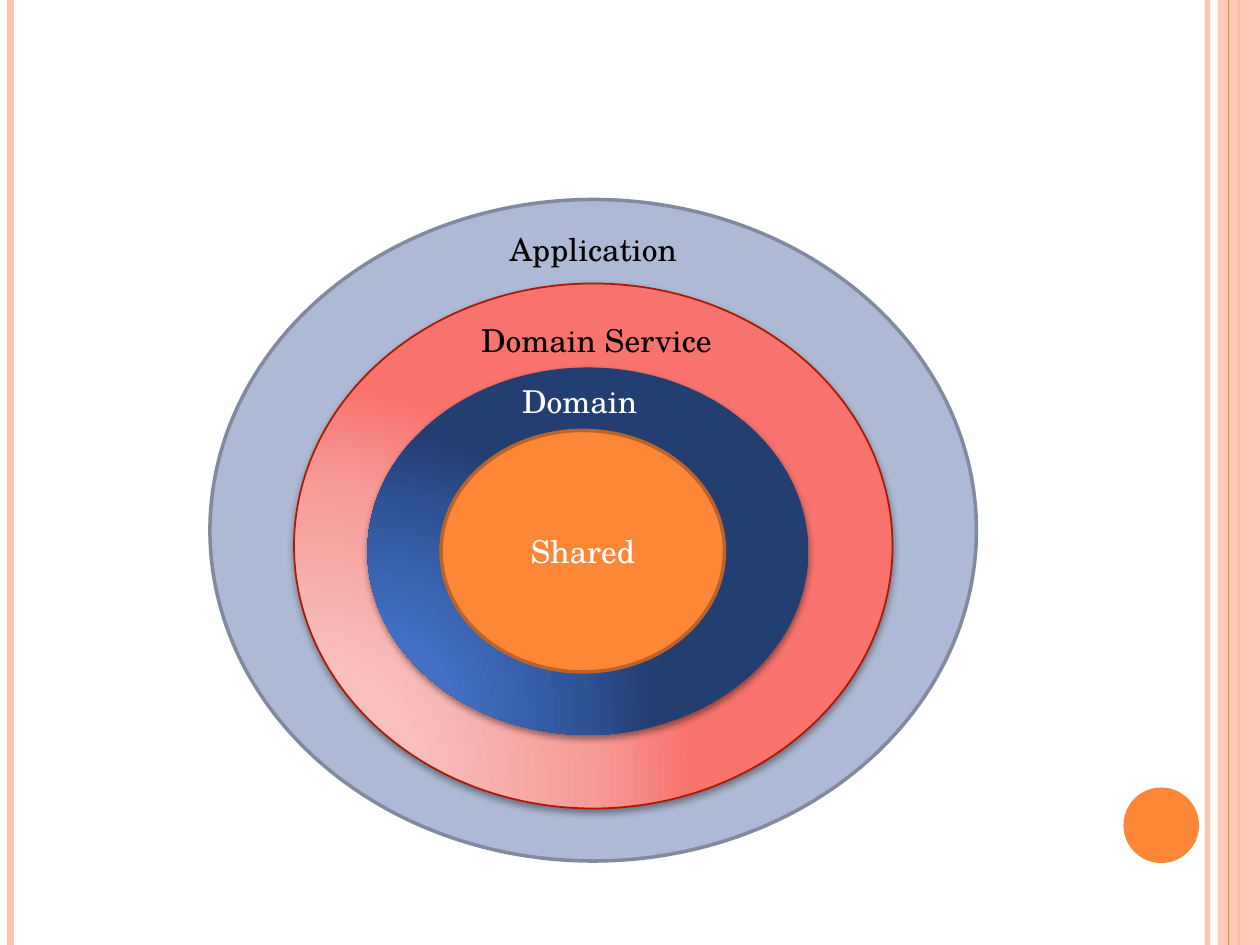
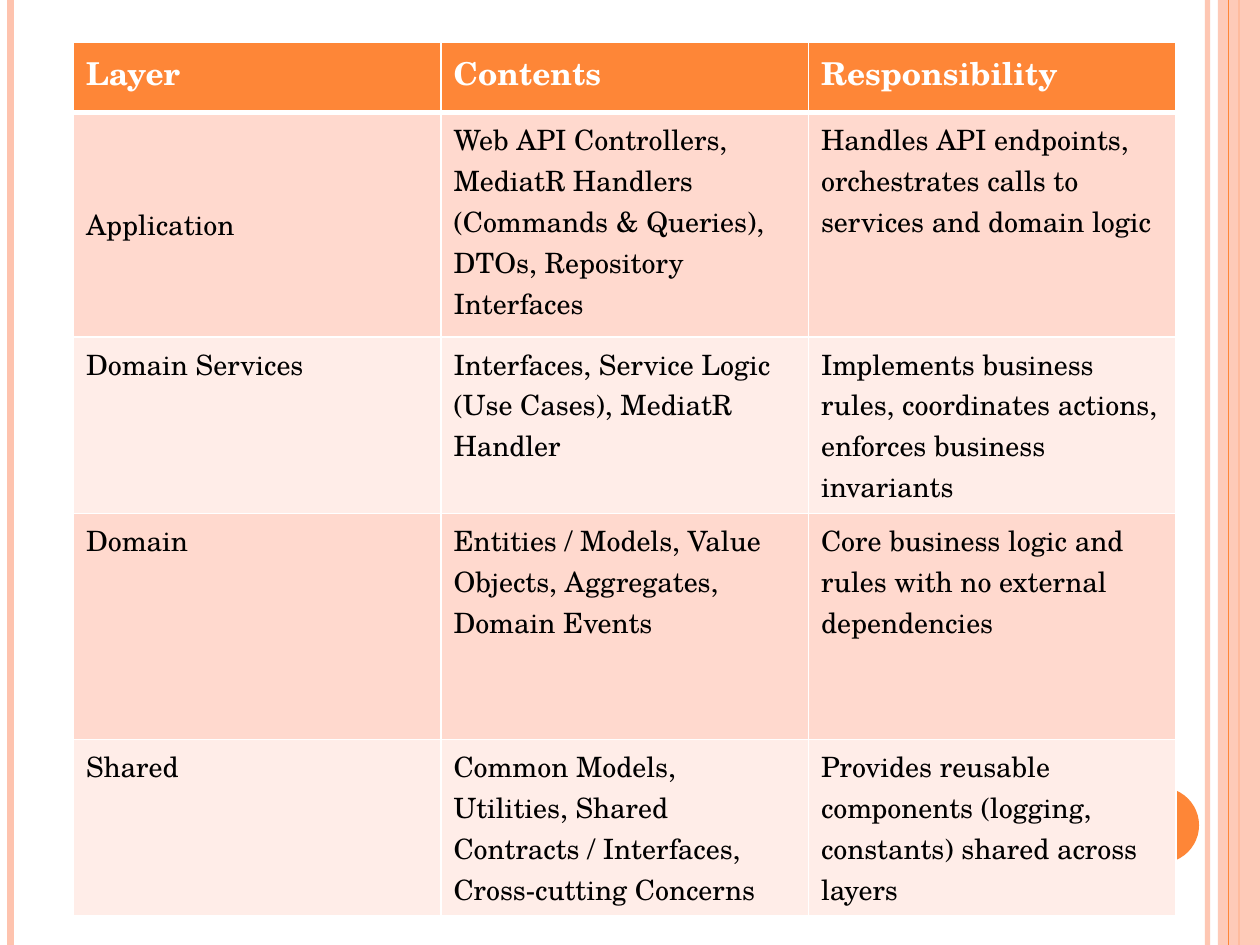
import lxml.etree
import pptx
import pptx.dml.color
import pptx.enum.shapes
import pptx.enum.text
import pptx.oxml.ns
import pptx.util
from dataclasses import dataclass


@dataclass(frozen=True)
class Theme:
    font: str = "TeX Gyre Schola"
    label_size: int = 18
    body_size: int = 16
    white: str = "FFFFFF"
    black: str = "000000"
    orange: str = "FE8637"
    dark_orange: str = "BC6329"
    peach: str = "FEC3AE"
    row_tints: tuple = ("FFD9CE", "FFEDE8")
    mist: str = "AEBAD5"
    slate: str = "818A9E"
    dark_red: str = "AC1800"
    reds: tuple = ("F8C5C3", "F8BFBD", "F69B98", "F8736E")
    blues: tuple = ("4574CC", "4370C5", "2F5397", "233E70")


theme = Theme()
rgb = pptx.dml.color.RGBColor.from_string
Pt = pptx.util.Pt
SHAPE = pptx.enum.shapes.MSO_SHAPE
MIDDLE = pptx.enum.text.MSO_ANCHOR.MIDDLE
CENTER = pptx.enum.text.PP_ALIGN.CENTER

# The slide is a grid of 120 columns and 90 rows of square cells
deck = pptx.Presentation()
deck.slide_width, deck.slide_height = pptx.util.Inches(10), pptx.util.Inches(7.5)
COLUMNS, ROWS = 120, 90
CELL = deck.slide_width / COLUMNS


def add_node(parent, tag, **attributes):
    node = lxml.etree.SubElement(parent, pptx.oxml.ns.qn("a:" + tag))
    for name, value in attributes.items():
        node.set(name, str(value))
    return node


def draw_rule(slide, column, color, weight, opacity=100):
    x = round(column * CELL)
    rule = slide.shapes.add_connector(
        pptx.enum.shapes.MSO_CONNECTOR.STRAIGHT, x, 0, x, deck.slide_height)
    rule.line.color.rgb = rgb(color)
    rule.line.width = Pt(weight)
    properties = rule._element.spPr
    if opacity < 100:
        add_node(next(properties.iter(pptx.oxml.ns.qn("a:srgbClr"))),
                 "alpha", val=opacity * 1000)
    add_node(properties, "effectLst")


# Edge rules, right band and dot on both slides
rings_slide, layers_slide = [deck.slides.add_slide(deck.slide_layouts[6]) for _ in range(2)]
for slide in (rings_slide, layers_slide):
    draw_rule(slide, 115, theme.peach, 3, 93)
    draw_rule(slide, 1, theme.peach, 4.5)
    draw_rule(slide, 118, theme.orange, 1.5)
    for kind, box, color, opacity in (
        (SHAPE.RECTANGLE, (116, 0, 4, ROWS), theme.peach, 87),
        (SHAPE.OVAL, (107, 75, 7.2, 7.2), theme.orange, 100),
    ):
        ornament = slide.shapes.add_shape(kind, *(round(n * CELL) for n in box))
        ornament.shadow.inherit = False
        ornament.fill.solid()
        ornament.fill.fore_color.rgb = rgb(color)
        ornament.line.fill.background()
        add_node(next(ornament._element.spPr.iter(pptx.oxml.ns.qn("a:srgbClr"))),
                 "alpha", val=opacity * 1000)
        if kind == SHAPE.RECTANGLE:
            draw_rule(slide, 117, theme.orange, 0.75)

# Nested rings: label, label centre, box, fill, outline, outline weight, text, shadow opacity
rings = (
    ("Application", (56.5, 23.7), (20, 19, 73, 63), theme.mist, theme.slate, 2, theme.black, 0),
    ("Domain Service", (56.8, 32.4), (28, 27, 57, 50), theme.reds, theme.dark_red, 1, theme.black, 40),
    ("Domain", (55.2, 38.2), (35, 35, 42, 35), theme.blues, None, 0, theme.white, 42),
    ("Shared", None, (42, 41, 27, 23), theme.orange, theme.dark_orange, 2, theme.white, 0),
)
LABEL_WIDTH, LABEL_HEIGHT = 30, 5
for name, center, box, fill, outline, weight, text_color, shade in rings:
    ring = rings_slide.shapes.add_shape(
        SHAPE.FLOWCHART_CONNECTOR, *(round(n * CELL) for n in box))
    ring.shadow.inherit = False
    if isinstance(fill, tuple):
        ring.fill.gradient()
        gradient = ring._element.spPr.find(pptx.oxml.ns.qn("a:gradFill"))
        for part in list(gradient):
            gradient.remove(part)
        stops = add_node(gradient, "gsLst")
        for position, color in zip((0, 30, 75, 100), fill):
            add_node(add_node(stops, "gs", pos=position * 1000), "srgbClr", val=color)
        glow = add_node(gradient, "path", path="circle")
        add_node(glow, "fillToRect", l=5000, t=100000, r=120000, b=10000)
    else:
        ring.fill.solid()
        ring.fill.fore_color.rgb = rgb(fill)
    if outline:
        ring.line.color.rgb = rgb(outline)
        ring.line.width = Pt(weight)
    else:
        ring.line.fill.background()
    if shade:
        effects = ring._element.spPr.find(pptx.oxml.ns.qn("a:effectLst"))
        shadow = add_node(effects, "outerShdw", blurRad=Pt(4), dist=Pt(2),
                          dir=90 * 60000, rotWithShape=0)
        add_node(add_node(shadow, "srgbClr", val=theme.black), "alpha", val=shade * 1000)

    # Outer labels sit in the visible arc, the core label inside the core
    label = ring
    if center:
        label = rings_slide.shapes.add_textbox(
            round((center[0] - LABEL_WIDTH / 2) * CELL),
            round((center[1] - LABEL_HEIGHT / 2) * CELL),
            round(LABEL_WIDTH * CELL), round(LABEL_HEIGHT * CELL))
    frame = label.text_frame
    frame.word_wrap = True
    frame.vertical_anchor = MIDDLE
    frame.margin_top = frame.margin_bottom = 0
    line = frame.paragraphs[0]
    line.text = name
    line.alignment = CENTER
    line.font.name, line.font.size = theme.font, Pt(theme.label_size)
    line.font.color.rgb = rgb(text_color)

# Table of layers
layers = (
    ("Layer", "Contents", "Responsibility"),
    ("Application",
     "Web API Controllers, MediatR Handlers (Commands & Queries), DTOs, Repository Interfaces",
     "Handles API endpoints, orchestrates calls to services and domain logic"),
    ("Domain Services",
     "Interfaces, Service Logic (Use Cases), MediatR Handler",
     "Implements business rules, coordinates actions, enforces business invariants"),
    ("Domain",
     "Entities / Models, Value Objects, Aggregates, Domain Events",
     "Core business logic and rules with no external dependencies"),
    ("Shared",
     "Common Models, Utilities, Shared Contracts / Interfaces, Cross-cutting Concerns",
     "Provides reusable components (logging, constants) shared across layers"),
)
row_heights = (6.7, 21.4, 16, 21.5, 16.7)
table_box = (7, 4, 105, sum(row_heights))
table = layers_slide.shapes.add_table(
    len(layers), len(layers[0]), *(round(n * CELL) for n in table_box)).table
for column in table.columns:
    column.width = round(table_box[2] / len(layers[0]) * CELL)
for r, (height, texts) in enumerate(zip(row_heights, layers)):
    table.rows[r].height = round(height * CELL)
    header = r == 0
    for c, text in enumerate(texts):
        cell = table.cell(r, c)
        # A thick border parts the header from the body
        weights = {"lnL": 1, "lnR": 1, "lnT": 3 if r == 1 else 1, "lnB": 3 if header else 1}
        for side, weight in weights.items():
            border = add_node(cell._tc.get_or_add_tcPr(), side, w=Pt(weight))
            add_node(add_node(border, "solidFill"), "srgbClr", val=theme.white)
        cell.fill.solid()
        cell.fill.fore_color.rgb = rgb(theme.orange if header else theme.row_tints[(r - 1) % 2])
        if text == "Application":
            cell.vertical_anchor = MIDDLE
        line = cell.text_frame.paragraphs[0]
        line.text = text
        line.font.name = theme.font
        line.font.size = Pt(theme.label_size if header else theme.body_size)
        line.font.bold = header
        line.font.color.rgb = rgb(theme.white if header else theme.black)

deck.save("out.pptx")
